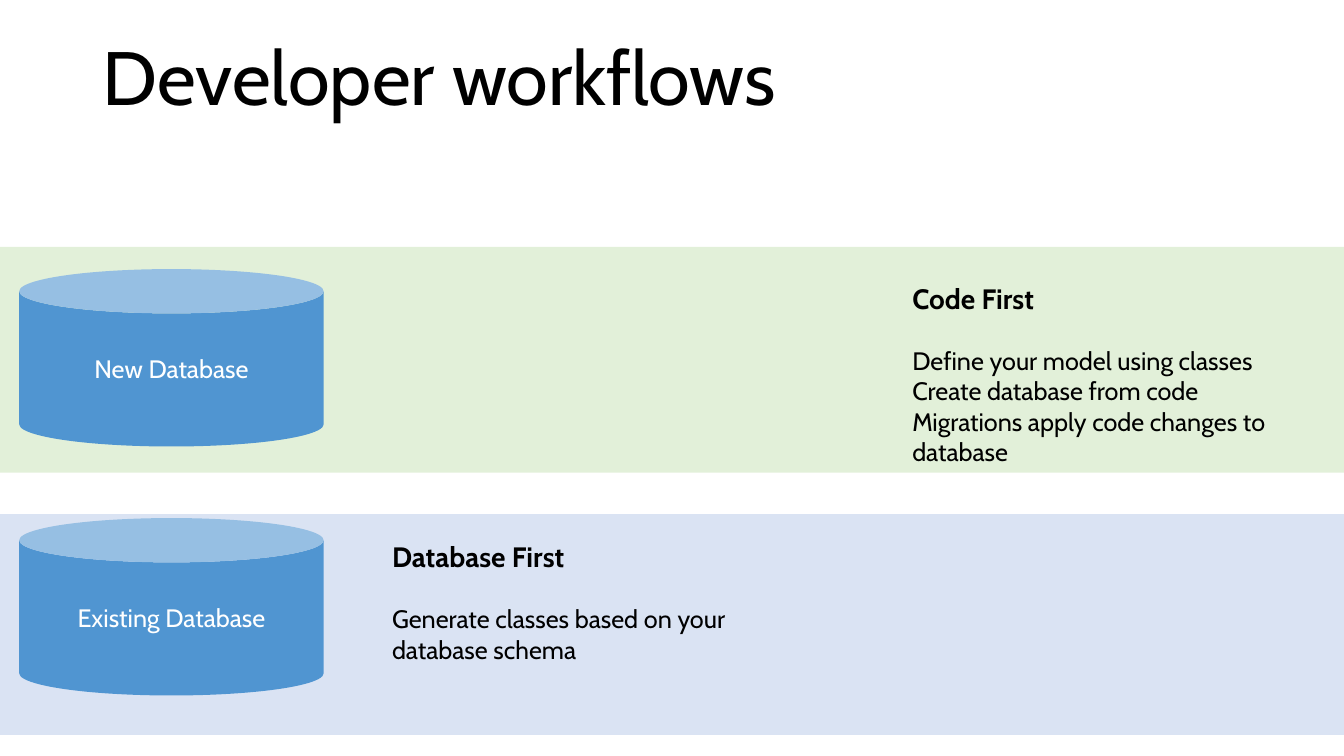
from pptx import Presentation
from pptx.dml.color import RGBColor
from pptx.enum.shapes import MSO_SHAPE as Shape
from pptx.enum.text import MSO_ANCHOR as Anchor, PP_ALIGN as Align
from pptx.util import Inches, Pt

TITLE = "Developer workflows"
FONT = "Cabin"
BLACK, WHITE, BLUE = "000000", "FFFFFF", "5095D1"
WIDTH, HEIGHT = 13.33, 7.5

# Each band: top, height and colour, then its database and its workflow.
WORKFLOWS = [
    {"band": (2.45, 2.24, "E2F0D9"), "database": "New Database", "can_top": 2.67,
     "heading": "Code First", "notes_at": (8.95, 2.74, 4.06, 2.56),
     "steps": ["Define your model using classes",
               "Create database from code",
               "Migrations apply code changes to database"]},
    {"band": (5.1, 2.19, "DAE3F3"), "database": "Existing Database", "can_top": 5.14,
     "heading": "Database First", "notes_at": (3.79, 5.3, 4.06, 1.95),
     "steps": ["Generate classes based on your database schema"]},
]
CAN_LEFT, CAN_WIDTH, CAN_HEIGHT = 0.19, 3.02, 1.76
HEADING_GAP = 22  # one blank line of step text, in points


def color(hex_value):
    return RGBColor.from_string(hex_value)


def add_filled(slide, kind, box, fill):
    shape = slide.shapes.add_shape(kind, *map(Inches, box))
    shape.shadow.inherit = False
    shape.fill.solid()
    shape.fill.fore_color.rgb = color(fill)
    shape.line.fill.background()
    return shape


def write(shape, lines, size, ink=BLACK, anchor=Anchor.TOP, align=Align.LEFT):
    """Fill a shape with one paragraph per line, all in the same style."""
    frame = shape.text_frame
    frame.word_wrap = True
    frame.vertical_anchor = anchor
    frame.text = "\n".join(lines)
    for paragraph in frame.paragraphs:
        paragraph.alignment = align
        for run in paragraph.runs:
            run.font.name = FONT
            run.font.size = Pt(size)
            run.font.color.rgb = color(ink)
    return frame.paragraphs


def add_workflow(slide, workflow):
    top, height, fill = workflow["band"]
    add_filled(slide, Shape.RECTANGLE, (0, top, WIDTH, height), fill)

    can_box = (CAN_LEFT, workflow["can_top"], CAN_WIDTH, CAN_HEIGHT)
    database = add_filled(slide, Shape.CAN, can_box, BLUE)
    write(database, [workflow["database"]], 18, WHITE, Anchor.MIDDLE, Align.CENTER)

    notes = slide.shapes.add_textbox(*map(Inches, workflow["notes_at"]))
    heading = write(notes, [workflow["heading"], *workflow["steps"]], 18)[0]
    heading.space_after = Pt(HEADING_GAP)
    heading.runs[0].font.size = Pt(20)
    heading.runs[0].font.bold = True


def main():
    deck = Presentation()
    deck.slide_width, deck.slide_height = Inches(WIDTH), Inches(HEIGHT)
    slide = deck.slides.add_slide(deck.slide_layouts[6])

    title = slide.shapes.add_textbox(*map(Inches, (0.92, 0.28, 11.5, 1.05)))
    write(title, [TITLE], 54, anchor=Anchor.MIDDLE)[0].line_spacing = 0.9

    for workflow in WORKFLOWS:
        add_workflow(slide, workflow)
    deck.save("out.pptx")


if __name__ == "__main__":
    main()
